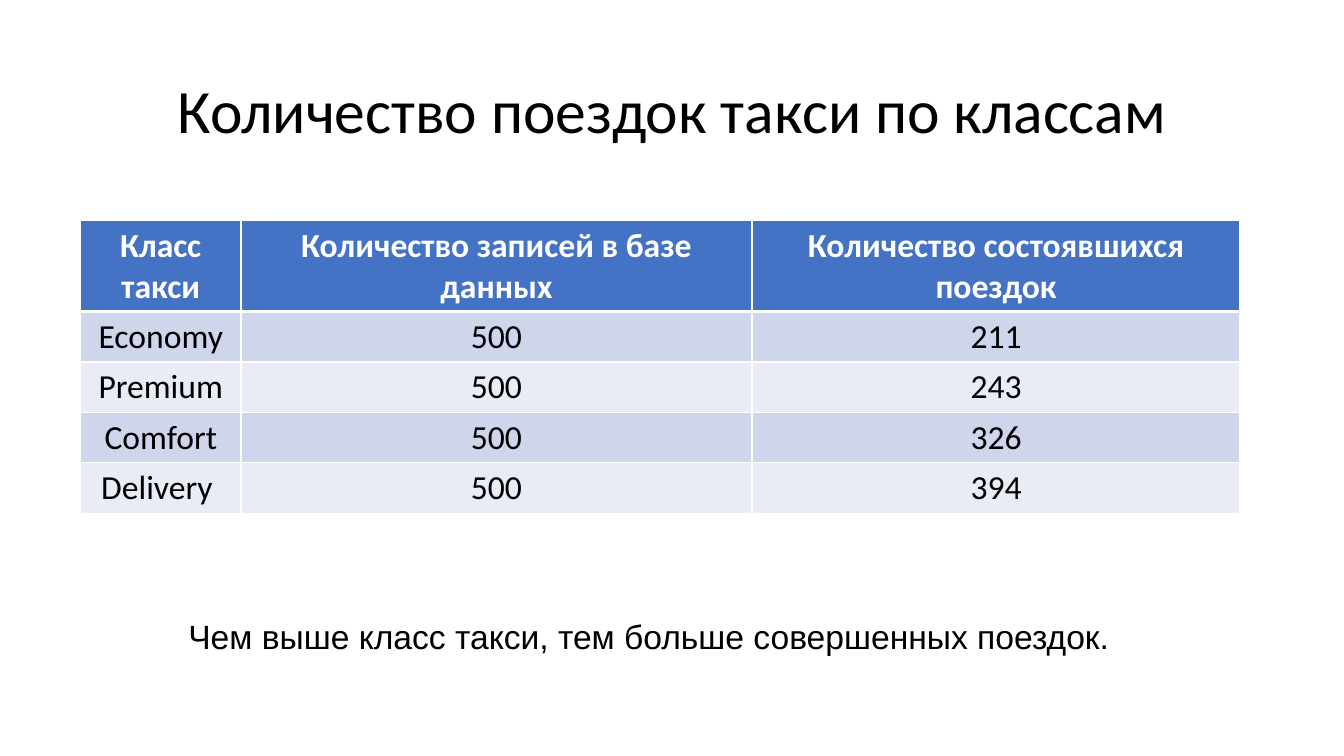
from dataclasses import dataclass

from lxml.etree import SubElement
from pptx import Presentation
from pptx.dml.color import RGBColor
from pptx.enum.text import MSO_ANCHOR, PP_ALIGN
from pptx.oxml.ns import qn
from pptx.util import Inches, Pt


@dataclass(frozen=True)
class Theme:
    ink: str = "000000"
    paper: str = "FFFFFF"
    header: str = "4472C4"
    bands: tuple = ("CFD5EA", "E9EBF5")
    font: str = "Calibri"
    note_font: str = "Arial"
    title_size: int = 44
    body_size: int = 24
    border: int = 1
    header_border: int = 3


THEME = Theme()
WIDTH, HEIGHT = Inches(13.33), Inches(7.5)

# Boxes as percentages of the slide: left, top, width, height
TITLE_BOX = (6.9, 5.33, 86.27, 19.33)
TABLE_BOX = (6, 29.2, 86.27, 38.67)
NOTE_BOX = (13.28, 80.8, 73.37, 6.67)

COLUMN_SHARES = (1.59, 5.07, 4.84)
ROW_SHARES = (9, 5, 5, 5, 5)
TRIPS = (
    ("Класс такси", "Количество записей в базе данных", "Количество состоявшихся поездок"),
    ("Economy", "500", "211"),
    ("Premium", "500", "243"),
    ("Comfort", "500", "326"),
    ("Delivery ", "500", "394"),
)


def place(box):
    """Turn percentages of the slide into lengths."""
    return [round(share * side / 100) for share, side in zip(box, (WIDTH, HEIGHT) * 2)]


def write(frame, text, size=THEME.body_size, font=THEME.font, color=THEME.ink,
          bold=False, align=PP_ALIGN.CENTER, spacing=None):
    frame.word_wrap = True
    para = frame.paragraphs[0]
    para.alignment = align
    para.line_spacing = spacing
    span = para.add_run()
    span.text = text
    span.font.size = Pt(size)
    span.font.name = font
    span.font.bold = bold
    span.font.color.rgb = RGBColor.from_string(color)


def add_text(page, box, text, anchor=MSO_ANCHOR.TOP, **style):
    frame = page.shapes.add_textbox(*place(box)).text_frame
    frame.vertical_anchor = anchor
    write(frame, text, **style)


def style_cell(cell, fill, bottom):
    # Borders come before the fill in the cell properties
    properties = cell._tc.get_or_add_tcPr()
    for side, width in (("L", THEME.border), ("R", THEME.border),
                        ("T", THEME.border), ("B", bottom)):
        line = SubElement(properties, qn(f"a:ln{side}"), w=str(Pt(width)))
        solid = SubElement(line, qn("a:solidFill"))
        SubElement(solid, qn("a:srgbClr"), val=THEME.paper)
    cell.fill.solid()
    cell.fill.fore_color.rgb = RGBColor.from_string(fill)


def add_trip_table(page, box, rows):
    left, top, width, height = place(box)
    table = page.shapes.add_table(len(rows), len(rows[0]), left, top, width, height).table
    for column, share in zip(table.columns, COLUMN_SHARES):
        column.width = round(width * share / sum(COLUMN_SHARES))
    for row, share in zip(table.rows, ROW_SHARES):
        row.height = round(height * share / sum(ROW_SHARES))

    for r, values in enumerate(rows):
        is_header = r == 0
        fill = THEME.header if is_header else THEME.bands[(r - 1) % 2]
        for c, value in enumerate(values):
            cell = table.cell(r, c)
            style_cell(cell, fill, THEME.header_border if is_header else THEME.border)
            write(cell.text_frame, value, bold=is_header,
                  color=THEME.paper if is_header else THEME.ink)


def build_trips_slide(deck):
    page = deck.slides.add_slide(deck.slide_layouts[6])
    # Title
    add_text(page, TITLE_BOX, "Количество поездок такси по классам",
             anchor=MSO_ANCHOR.MIDDLE, size=THEME.title_size, spacing=0.9)
    # Trips by class
    add_trip_table(page, TABLE_BOX, TRIPS)
    # Conclusion
    add_text(page, NOTE_BOX, "Чем выше класс такси, тем больше совершенных поездок.",
             font=THEME.note_font, align=PP_ALIGN.LEFT)


def main():
    deck = Presentation()
    deck.slide_width, deck.slide_height = WIDTH, HEIGHT
    build_trips_slide(deck)
    deck.save("out.pptx")


if __name__ == "__main__":
    main()
